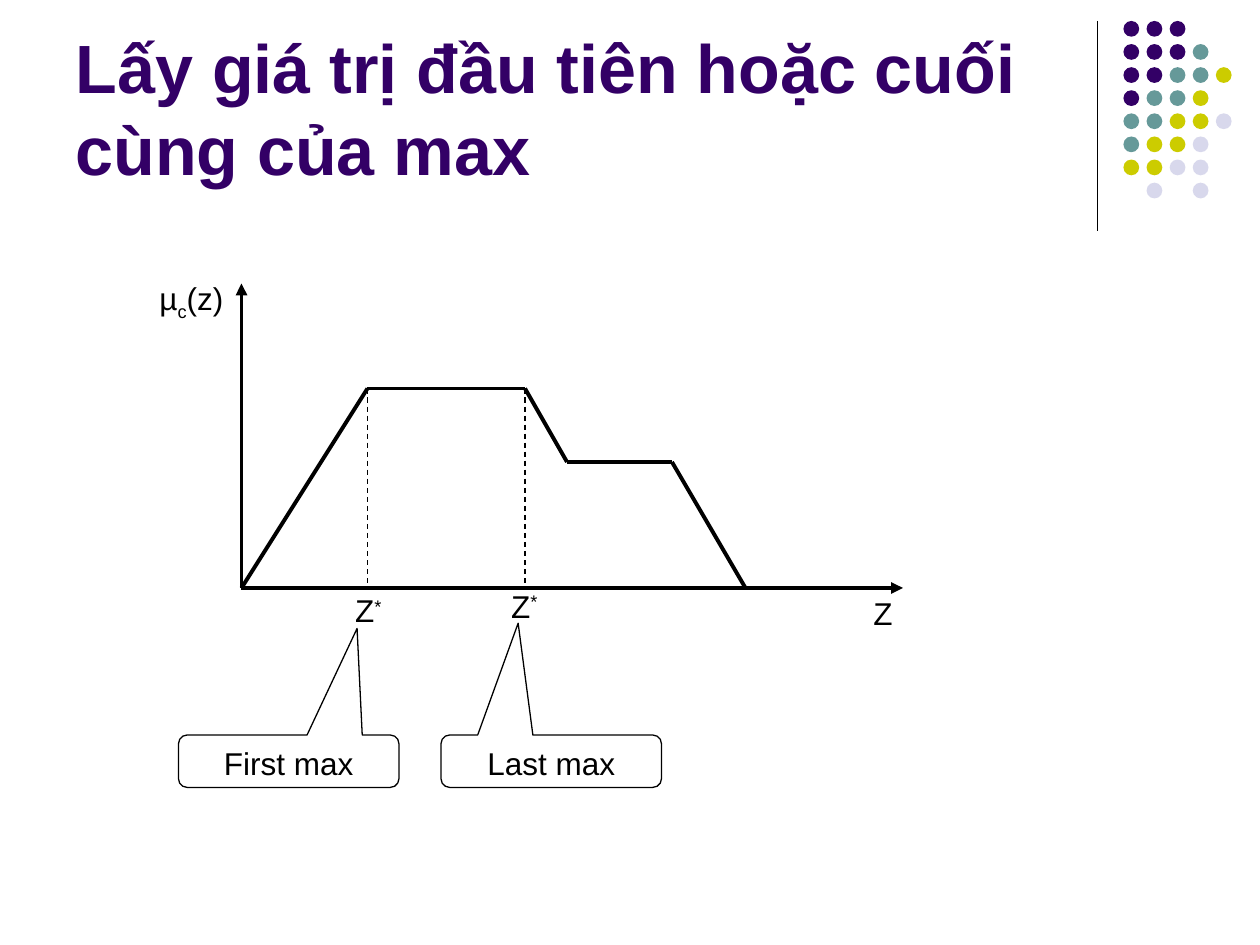
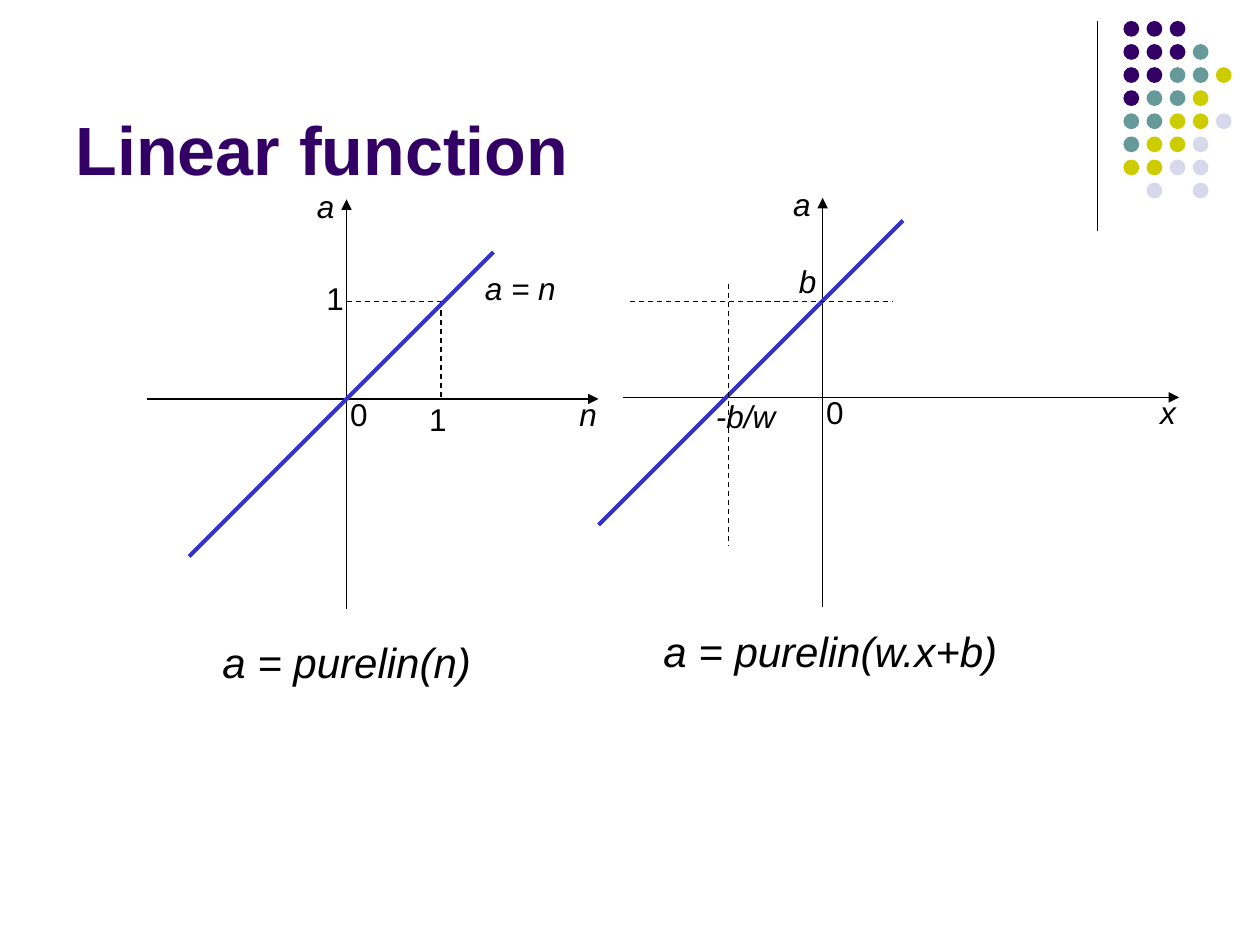
from itertools import pairwise

from lxml import etree
from pptx import Presentation
from pptx import util as u
from pptx.dml.color import RGBColor
from pptx.enum import dml, shapes, text
from pptx.oxml.ns import qn

COLORS = {"ink": "000000", "title": "330066", "curve": "3333CC",
          "P": "330066", "T": "669999", "Y": "CCCC00", "L": "D8D8EC"}
DOT_ROWS = ["PPP", "PPPT", "PPTTY", "PTTY", "TTYYL", "TYYL", "YYLL", " L L"]
COLUMNS, ROWS = 120, 90
FONT = "Arial"
THIN, THICK = 0.75, 2.25


class Deck:
    """Holds the style and the current slide; lengths are grid columns and rows."""

    def __init__(self):
        self.prs = Presentation()
        self.prs.slide_width, self.prs.slide_height = u.Inches(10), u.Inches(7.5)
        self.slide = None

    def x(self, columns):
        return round(self.prs.slide_width * columns / COLUMNS)

    def y(self, rows):
        return round(self.prs.slide_height * rows / ROWS)

    def box(self, left, top, width, height):
        return self.x(left), self.y(top), self.x(width), self.y(height)

    def color(self, name):
        return RGBColor.from_string(COLORS[name])

    def style(self, paragraph, size, color="ink", bold=False, italic=False):
        for run in paragraph.runs:
            font = run.font
            font.name, font.size = FONT, u.Pt(size)
            font.bold, font.italic = bold, italic
            font.color.rgb = self.color(color)

    def new_slide(self, heading):
        self.slide = self.prs.slides.add_slide(self.prs.slide_layouts[5])
        self.line((104.5, 2), (104.5, 22))
        self.dots()
        self.title(heading)

    def dots(self):
        group = self.slide.shapes.add_group_shape()
        for row, tones in enumerate(DOT_ROWS):
            for column, tone in enumerate(tones):
                if tone == " ":
                    continue
                place = self.box(107 + 2.2 * column, 2 + 2.2 * row, 1.5, 1.5)
                dot = group.shapes.add_shape(shapes.MSO_SHAPE.OVAL, *place)
                dot.shadow.inherit = False
                dot.fill.solid()
                dot.fill.fore_color.rgb = self.color(tone)
                dot.line.fill.background()

    def title(self, heading):
        holder = self.slide.shapes.title
        holder.left, holder.top, holder.width, holder.height = self.box(6, 1.6, 99, 17)
        frame = holder.text_frame
        frame.text = heading
        frame.auto_size = text.MSO_AUTO_SIZE.NONE
        frame.vertical_anchor = text.MSO_ANCHOR.BOTTOM
        frame.paragraphs[0].alignment = text.PP_ALIGN.LEFT
        self.style(frame.paragraphs[0], 39, "title", bold=True)

    def line(self, start, end, weight=THIN, color="ink", dashed=False, arrow=False):
        link = self.slide.shapes.add_connector(
            shapes.MSO_CONNECTOR.STRAIGHT,
            self.x(start[0]), self.y(start[1]), self.x(end[0]), self.y(end[1]))
        link.line.width = u.Pt(weight)
        link.line.color.rgb = self.color(color)
        if dashed:
            link.line.dash_style = dml.MSO_LINE.DASH
        properties = link._element.spPr
        if arrow:
            outline = properties.find(qn("a:ln"))
            etree.SubElement(outline, qn("a:tailEnd"), type="triangle")
        etree.SubElement(properties, qn("a:effectLst"))

    def label(self, left, top, width, wording, size=18, italic=False):
        """Wording is a string, or (string, baseline percent) pairs."""
        pieces = [(wording, 0)] if isinstance(wording, str) else wording
        holder = self.slide.shapes.add_textbox(*self.box(left, top, width, size / 3.75))
        frame = holder.text_frame
        frame.word_wrap = True
        frame.auto_size = text.MSO_AUTO_SIZE.SHAPE_TO_FIT_TEXT
        paragraph = frame.paragraphs[0]
        for piece, baseline in pieces:
            run = paragraph.add_run()
            run.text = piece
            if baseline:
                run._r.get_or_add_rPr().set("baseline", str(baseline * 1000))
        self.style(paragraph, size, italic=italic)

    def callout(self, left, wording, tip_x, tip_y):
        bubble = self.slide.shapes.add_shape(
            shapes.MSO_SHAPE.ROUNDED_RECTANGULAR_CALLOUT, *self.box(left, 70, 21, 5))
        bubble.adjustments[0], bubble.adjustments[1] = tip_x, tip_y
        bubble.shadow.inherit = False
        bubble.fill.background()
        bubble.line.color.rgb = self.color("ink")
        bubble.line.width = u.Pt(THIN)
        frame = bubble.text_frame
        frame.text = wording
        frame.vertical_anchor = text.MSO_ANCHOR.TOP
        frame.paragraphs[0].alignment = text.PP_ALIGN.CENTER
        self.style(frame.paragraphs[0], 18)

    def axes(self, origin, left, right, variable):
        """Crossed arrows with the names of both axes and the zero."""
        x, y = origin
        self.line((x, y + 20), (x, y - 19), arrow=True)
        self.line((left, y), (right, y), arrow=True)
        self.label(x - 4, y - 20.8, 8, "a", italic=True)
        self.label(x - 0.84, y - 1, 7, "0")
        self.label(right - 3, y - 1, 8, variable, italic=True)

    def slope(self, left, top):
        self.line((left + 29, top), (left, top + 29), THICK, "curve")


def first_or_last_max(deck):
    deck.new_slide("Lấy giá trị đầu tiên hoặc cuối cùng của max")

    # Axes
    origin = (23, 56)
    for axis_end in [(23, 27), (86, 56)]:
        deck.line(origin, axis_end, THICK, arrow=True)
    deck.label(14, 26, 9, [("µ", 0), ("c", -25), ("(z)", 0)])
    deck.label(82, 56, 9, "Z")

    # Membership curve
    curve = [origin, (35, 37), (50, 37), (54, 44), (64, 44), (71, 56)]
    for start, end in pairwise(curve):
        deck.line(start, end, THICK)

    # Both ends of the maximum
    for peak in curve[1:3]:
        deck.line(peak, (peak[0], 56), dashed=True)
    for left, top in [(32.64, 55.7), (47.5, 55.3)]:
        deck.label(left, top, 9, [("Z", 0), ("*", 30)])
    deck.callout(17, "First max", 0.31, -2.53)
    deck.callout(42, "Last max", -0.15, -2.63)


def linear_function(deck):
    deck.new_slide("Linear function")
    unit_row = 28.7

    # Plain function of n
    deck.axes((33, 38), 14, 57, "n")
    deck.line((33, unit_row), (42, unit_row), dashed=True)
    deck.line((42, 37.8), (42, unit_row), dashed=True)
    deck.slope(18, 24)
    for left, top in [(39.7, 37.5), (29.9, 26)]:
        deck.label(left, top, 7, "1")
    deck.label(45, 25, 12, "a = n", italic=True)
    deck.label(20, 60, 31, "a = purelin(n)", size=24, italic=True)

    # Weighted function of x with an offset
    deck.axes((78.35, 37.85), 59.3, 112.3, "x")
    deck.slope(57, 21)
    deck.label(67, 37.2, 11, "-b/w", italic=True)
    deck.label(74.9, 24.4, 7, "b", italic=True)
    deck.line((69.35, 27), (69.35, 52), dashed=True)
    deck.line((60, unit_row), (85, unit_row), dashed=True)
    deck.label(62, 59, 44, "a = purelin(w.x+b)", size=24, italic=True)


def main():
    deck = Deck()
    first_or_last_max(deck)
    linear_function(deck)
    deck.prs.save("out.pptx")


if __name__ == "__main__":
    main()
